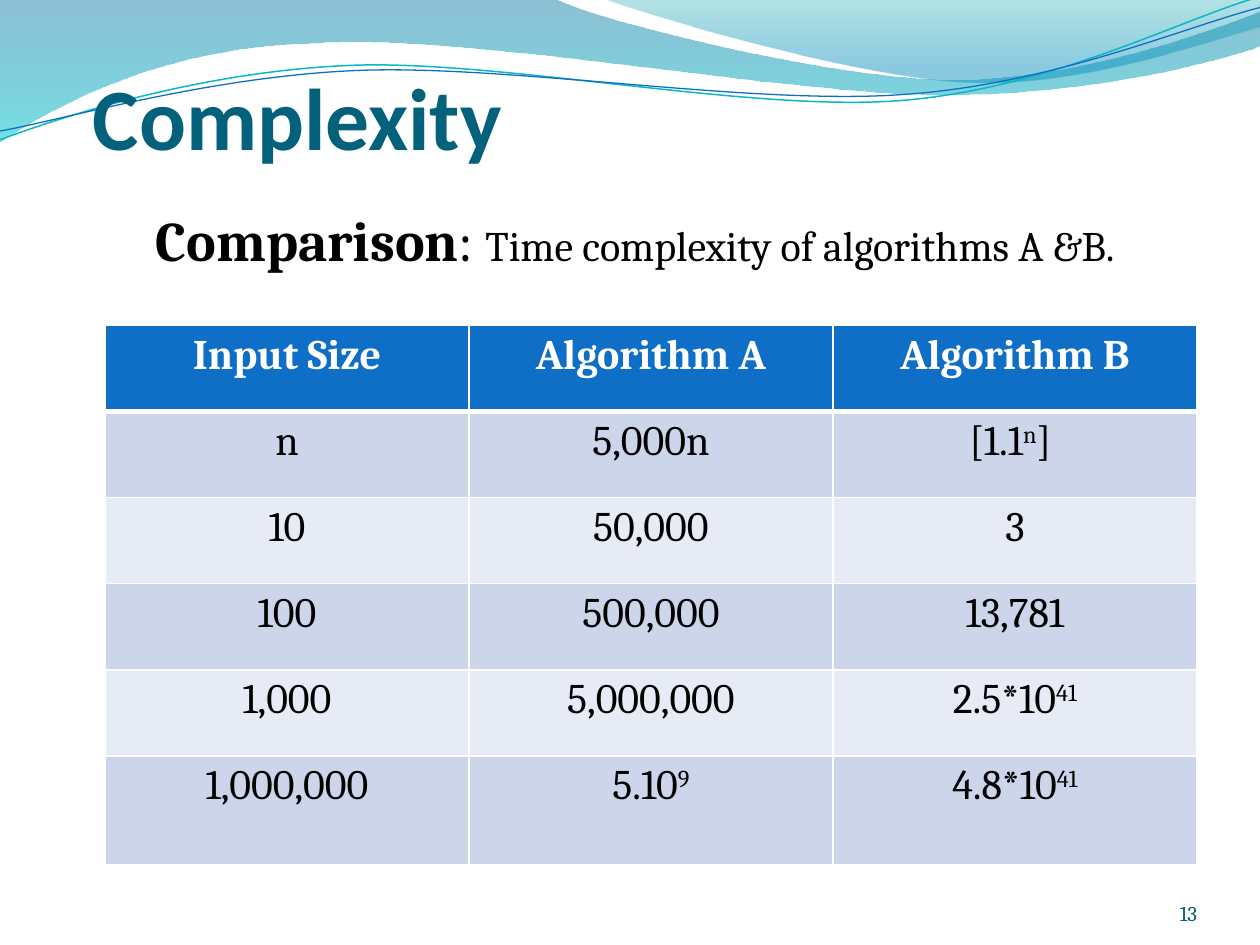
import math
import pptx
import pptx.util
import pptx.dml.color
import pptx.enum.text
import pptx.oxml.ns
import lxml.etree

RGBColor = pptx.dml.color.RGBColor
WHITE = RGBColor(0xFF, 0xFF, 0xFF)
BLACK = RGBColor(0x00, 0x00, 0x00)
TITLE_TEAL = RGBColor(0x04, 0x61, 0x7B)
NUMBER_TEAL = RGBColor(0x04, 0x5D, 0x75)
HEADER_BLUE = RGBColor(0x0F, 0x6F, 0xC6)
BAND_DARK = RGBColor(0xCC, 0xD5, 0xEA)
BAND_LIGHT = RGBColor(0xE7, 0xEB, 0xF5)
LINE_TEAL = RGBColor(0x0A, 0xB8, 0xBF)
WAVE_BLUE = RGBColor(0x00, 0x74, 0xA1)
WAVE_CYAN = RGBColor(0x00, 0xC6, 0xCF)
CREST_GREEN = RGBColor(0x00, 0xA1, 0xA9)
CREST_BLUE = RGBColor(0x00, 0x8B, 0xBF)
ALIGN = pptx.enum.text.PP_ALIGN
ANCHOR = pptx.enum.text.MSO_ANCHOR
qn = pptx.oxml.ns.qn

presentation = pptx.Presentation()
presentation.slide_width = pptx.util.Inches(10)
presentation.slide_height = pptx.util.Inches(7.5)
slide = presentation.slides.add_slide(presentation.slide_layouts[6])
column = presentation.slide_width / 12
row = presentation.slide_height / 18


def write_text(paragraph, text, size=24, font="Cambria", color=BLACK, bold=False, align=ALIGN.CENTER):
    paragraph.alignment = align
    for index, part in enumerate(text.split("^")):
        if not part:
            continue
        run = paragraph.add_run()
        run.text = part
        run.font.size = pptx.util.Pt(size)
        run.font.name = font
        run.font.bold = bold
        run.font.color.rgb = color
        if index % 2:
            run._r.get_or_add_rPr().set("baseline", "30000")


def draw_curve(segments, closed=False, tilt=0, center=(5, 0.58)):
    cosine, sine = math.cos(math.radians(tilt)), math.sin(math.radians(tilt))
    center_x, center_y = center
    turned = [[(pptx.util.Inches(center_x + (x - center_x) * cosine + (y - center_y) * sine),
                pptx.util.Inches(center_y + (y - center_y) * cosine - (x - center_x) * sine))
               for x, y in zip(segment[::2], segment[1::2])] for segment in segments]
    builder = slide.shapes.build_freeform(*turned[0][-1])
    builder.add_line_segments([points[-1] for points in turned[1:]], close=closed)
    shape = builder.convert_to_shape()
    for element, points in zip(list(shape._element.iter(qn("a:lnTo"))), turned[1:]):
        if len(points) == 3:
            element.tag = qn("a:cubicBezTo")
            for index, (x, y) in enumerate(points[:2]):
                element.insert(index, lxml.etree.Element(
                    qn("a:pt"), x=str(x - shape.left), y=str(y - shape.top)))
    shape.rotation = tilt
    shape.shadow.inherit = False
    return shape


waves = [
    ([(0, 0), (4.4, -0.01), (4.76, 0.17, 6.64, 0.63, 7.58, 0.63), (8.53, 0.63, 9.58, 0.26, 10, 0.09),
      (10.01, 0.36), (9.83, 0.44, 8.7, 0.76, 7.46, 0.75), (6.22, 0.75, 3.82, 0.28, 2.57, 0.34),
      (1.29, 0.36, 0.46, 0.83, -0.01, 1.13)],
     [(0, WAVE_BLUE, 45), (1, WAVE_CYAN, 55)]),
    ([(4.79, -0.01), (5.09, 0.11, 6.82, 0.62, 7.69, 0.65), (8.56, 0.69, 9.61, 0.32, 10, 0.21), (10, 0)],
     [(0, CREST_GREEN, 30), (0.8, CREST_BLUE, 45)]),
]
for segments, stops in waves:
    wave = draw_curve(segments, closed=True)
    wave.line.fill.background()
    wave.fill.gradient()
    wave.fill.gradient_angle = 270
    for stop, (position, color, opacity) in zip(wave.fill.gradient_stops, stops):
        stop.position = position
        stop.color.rgb = color
    color_elements = wave._element.spPr.findall(".//" + qn("a:gs") + "/" + qn("a:srgbClr"))
    for element, (position, color, opacity) in zip(color_elements, stops):
        lxml.etree.SubElement(element, qn("a:alpha"), val=str(opacity * 1000))

wave_lines = [
    ([(0, 1.11), (0.48, 0.93, 1.58, 0.57, 2.77, 0.52), (3.95, 0.47, 5.93, 0.89, 7.13, 0.8),
      (8.33, 0.71, 9.38, 0.15, 9.98, -0.02)], LINE_TEAL, 0.85),
    ([(0, 1.04), (0.47, 0.96, 1.64, 0.61, 2.83, 0.56), (4.03, 0.51, 5.97, 0.84, 7.17, 0.75),
      (8.36, 0.67, 9.41, 0.21, 10, 0.06)], HEADER_BLUE, 0.75),
]
for segments, color, width in wave_lines:
    wave_line = draw_curve(segments, tilt=-2.7)
    wave_line.fill.background()
    wave_line.line.color.rgb = color
    wave_line.line.width = pptx.util.Pt(width)

text_boxes = [
    ((0.5, 0.8, 10.8, 2.4), (0.32, 0.05, 0, 0), ANCHOR.BOTTOM,
     [("Complexity", dict(size=50, font="Calibri", color=TITLE_TEAL, bold=True, align=ALIGN.LEFT))]),
    ((0.6, 3.8, 10.9, 11.1), (0.1, 0.05, 0.1, 0.05), ANCHOR.TOP,
     [("Comparison", dict(size=32, bold=True)), (": ", dict(size=32)),
      ("Time complexity of algorithms A &B.", dict())]),
    ((10.4, 16.68, 1, 0.96), (0, 0, 0, 0), ANCHOR.BOTTOM,
     [("13", dict(size=12, color=NUMBER_TEAL, align=ALIGN.RIGHT))]),
]
for (left, top, width, height), margins, anchor, parts in text_boxes:
    box = slide.shapes.add_textbox(int(left * column), int(top * row), int(width * column), int(height * row))
    frame = box.text_frame
    frame.word_wrap = True
    frame.vertical_anchor = anchor
    frame.margin_left, frame.margin_top, frame.margin_right, frame.margin_bottom = map(pptx.util.Inches, margins)
    for text, text_format in parts:
        write_text(frame.paragraphs[0], text, **text_format)

values = [
    ["Input Size", "Algorithm A", "Algorithm B"],
    ["n", "5,000n", "[1.1^n^] "],
    ["10", "50,000", "3"],
    ["100", "500,000", "13,781"],
    ["1,000", "5,000,000", "2.5*10^41"],
    ["1,000,000", "5.10^9", "4.8*10^41"],
]
table = slide.shapes.add_table(len(values), 3, int(column), int(6.2 * row), int(10.4 * column), int(10.3 * row)).table
for table_column in table.columns:
    table_column.width = int(10.4 * column / 3)
for row_index, row_values in enumerate(values):
    header = row_index == 0
    table.rows[row_index].height = int((2.08 if row_index == len(values) - 1 else 1.64) * row)
    for column_index, text in enumerate(row_values):
        cell = table.cell(row_index, column_index)
        write_text(cell.text_frame.paragraphs[0], text, color=WHITE if header else BLACK, bold=header)
        cell.fill.solid()
        cell.fill.fore_color.rgb = HEADER_BLUE if header else BAND_DARK if row_index % 2 else BAND_LIGHT
        properties = cell._tc.get_or_add_tcPr()
        for position, side in enumerate(("lnL", "lnR", "lnT", "lnB")):
            thick = (header and side == "lnB") or (row_index == 1 and side == "lnT")
            border = lxml.etree.Element(qn("a:" + side), w=str(pptx.util.Pt(3 if thick else 1)))
            border_fill = lxml.etree.SubElement(border, qn("a:solidFill"))
            lxml.etree.SubElement(border_fill, qn("a:srgbClr"), val=str(WHITE))
            properties.insert(position, border)

presentation.save("out.pptx")
